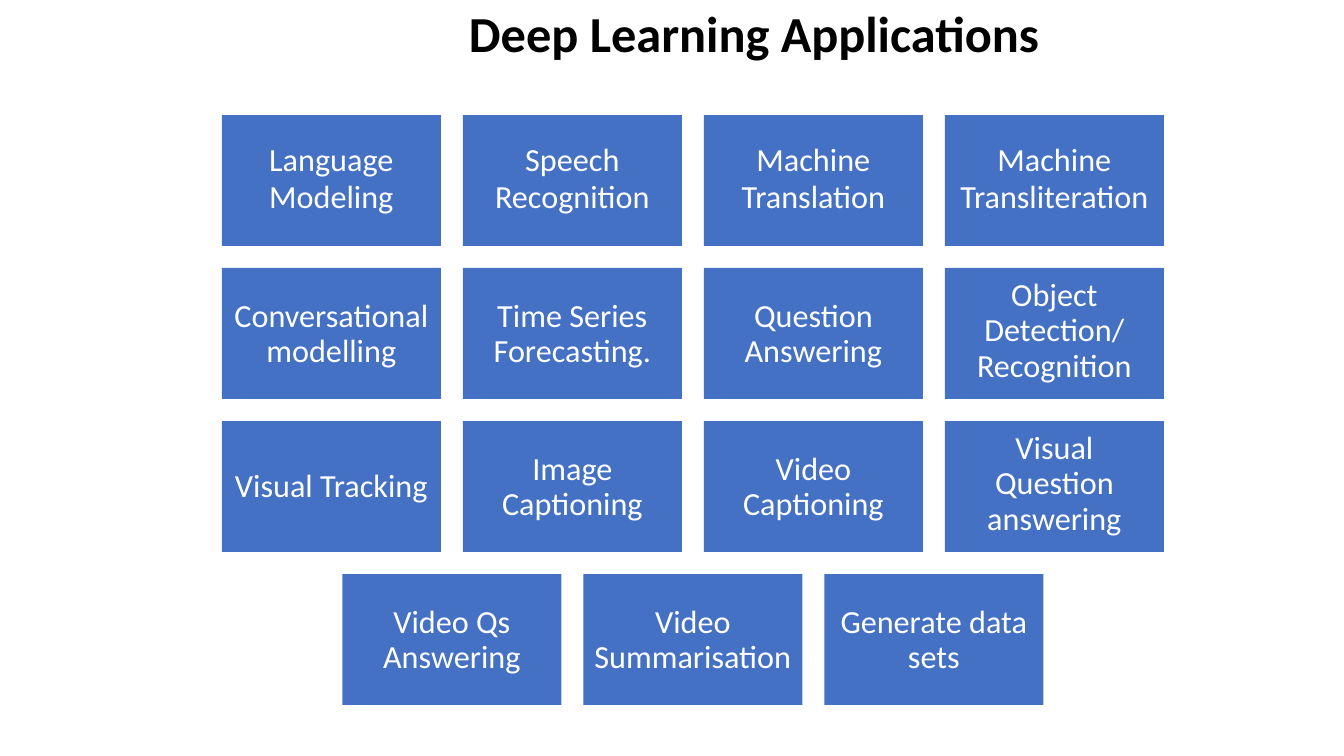
from dataclasses import dataclass

from pptx import Presentation
from pptx import util as u
from pptx.dml.color import RGBColor
from pptx.enum import shapes, text

TITLE = "Deep Learning Applications"
ROWS = [
    ["Language\nModeling", "Speech\nRecognition", "Machine\nTranslation", "Machine\nTransliteration"],
    ["Conversational modelling", "Time Series Forecasting.", "Question Answering",
     "Object Detection/ Recognition"],
    ["Visual Tracking", "Image Captioning", "Video Captioning", "Visual Question answering"],
    ["Video Qs Answering", "Video Summarisation", "Generate data sets"],
]
THREE_LINE_LABELS = {"Object Detection/ Recognition", "Visual Question answering"}


@dataclass(frozen=True)
class Theme:
    font: str = "Calibri"
    tile: RGBColor = RGBColor(0x44, 0x71, 0xC4)
    label: RGBColor = RGBColor(0xFF, 0xFF, 0xFF)
    title: RGBColor = RGBColor(0, 0, 0)
    label_size: u.Pt = u.Pt(23)
    title_size: u.Pt = u.Pt(36)
    tight_leading: u.Pt = u.Pt(25.3)
    loose_leading: u.Pt = u.Pt(26.4)


THEME = Theme()
PAGE_WIDTH, PAGE_HEIGHT = 1344, 756
GRID_CENTER, GRID_TOP = 693, 115
TILE_WIDTH, TILE_HEIGHT, GAP = 219, 131, 22
TITLE_BOX = (469, 2, 575, 64)


def px(length):
    return u.Emu(round(length * 914400 / 100.8))


def set_frame(frame, side=0, bottom=0):
    frame.word_wrap = True
    frame.margin_left = frame.margin_right = px(side)
    frame.margin_top, frame.margin_bottom = px(0), px(bottom)


def style(para, size, color, bold=False):
    para.font.name = THEME.font
    para.font.size = size
    para.font.bold = bold
    para.font.color.rgb = color


def add_title(page):
    box = page.shapes.add_textbox(*map(px, TITLE_BOX))
    set_frame(box.text_frame)
    box.text_frame.text = TITLE
    style(box.text_frame.paragraphs[0], THEME.title_size, THEME.title, bold=True)


def add_tile(page, label, left, top):
    tile = page.shapes.add_shape(
        shapes.MSO_SHAPE.RECTANGLE, *map(px, (left, top, TILE_WIDTH, TILE_HEIGHT)))
    tile.shadow.inherit = False
    tile.fill.solid()
    tile.fill.fore_color.rgb = THEME.tile
    tile.line.fill.background()
    split = "\n" in label
    tall = label in THREE_LINE_LABELS
    frame = tile.text_frame
    set_frame(frame, side=30 if tall else 8, bottom=6 if split or tall else 0)
    frame.vertical_anchor = text.MSO_ANCHOR.MIDDLE
    frame.text = label
    for para in frame.paragraphs:
        para.alignment = text.PP_ALIGN.CENTER
        para.line_spacing = THEME.loose_leading if split else THEME.tight_leading
        style(para, THEME.label_size, THEME.label)


def main():
    deck = Presentation()
    deck.slide_width, deck.slide_height = px(PAGE_WIDTH), px(PAGE_HEIGHT)
    page = deck.slides.add_slide(deck.slide_layouts[6])
    for row, labels in enumerate(ROWS):
        row_width = len(labels) * (TILE_WIDTH + GAP) - GAP
        row_left = GRID_CENTER - row_width / 2
        for column, label in enumerate(labels):
            add_tile(page, label, row_left + column * (TILE_WIDTH + GAP),
                     GRID_TOP + row * (TILE_HEIGHT + GAP))
    add_title(page)
    deck.save("out.pptx")


if __name__ == "__main__":
    main()
